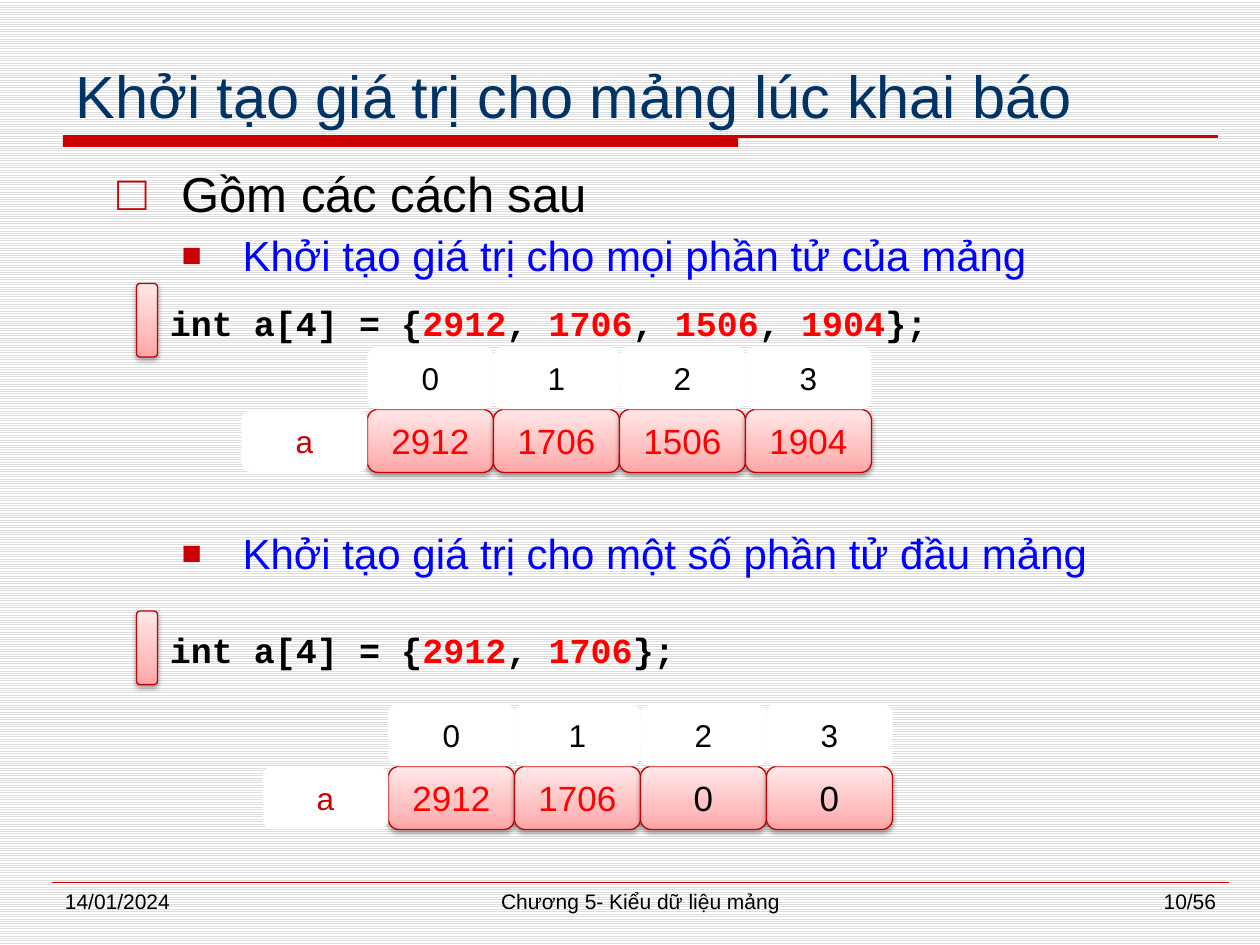
import copy
from dataclasses import dataclass

import lxml.etree
import pptx
import pptx.dml.color
import pptx.enum.dml
import pptx.enum.shapes
import pptx.enum.text
import pptx.oxml.ns
import pptx.util

EMU_PER_PX = 7620  # 120 px to the inch

ALIGN = pptx.enum.text.PP_ALIGN
ANCHOR = pptx.enum.text.MSO_ANCHOR
SHAPES = pptx.enum.shapes.MSO_SHAPE
qn = pptx.oxml.ns.qn


@dataclass(frozen=True)
class Theme:
    font: str = "Arial"
    code_font: str = "Courier New"
    title: str = "003366"
    accent: str = "CC0000"
    edge: str = "C80000"
    text: str = "000000"
    topic: str = "0000FF"
    value: str = "FF0000"
    paper: str = "FFFFFF"
    stripe: str = "DDDDDD"
    gradient: tuple = ((0, "FFA5A5"), (0.35, "FFBFBF"), (1, "FFE7E7"))
    title_pt: int = 34
    list_pt: int = 28
    topic_pt: int = 24
    value_pt: int = 20
    index_pt: int = 18
    footer_pt: int = 12


THEME = Theme()
CELL_W, CELL_H = 120, 60


def px(*lengths):
    return [pptx.util.Emu(n * EMU_PER_PX) for n in lengths]


def rgb(value):
    return pptx.dml.color.RGBColor.from_string(value)


def set_font(target, size, color, name=THEME.font, bold=False):
    font = target.font
    font.size = pptx.util.Pt(size)
    font.name = name
    font.bold = bold
    font.color.rgb = rgb(color)


def move(shape, *box):
    shape.left, shape.top, shape.width, shape.height = px(*box)


def add_bullet(p, char, size_pct, indent, hanging):
    pPr = p._p.get_or_add_pPr()
    pPr.set("marL", str(indent * EMU_PER_PX))
    pPr.set("indent", str(-hanging * EMU_PER_PX))
    color = lxml.etree.SubElement(pPr, qn("a:buClr"))
    lxml.etree.SubElement(color, qn("a:srgbClr"), val=THEME.accent)
    lxml.etree.SubElement(pPr, qn("a:buSzPct"), val=str(size_pct * 1000))
    lxml.etree.SubElement(pPr, qn("a:buFont"), typeface=THEME.font)
    lxml.etree.SubElement(pPr, qn("a:buChar"), char=char)


def add_title(s, text):
    title = s.shapes.title
    move(title, 60, 40, 1100, 90)
    tf = title.text_frame
    tf.text = text
    tf.vertical_anchor = ANCHOR.BOTTOM
    tf.auto_size = pptx.enum.text.MSO_AUTO_SIZE.NONE
    p = tf.paragraphs[0]
    p.alignment = ALIGN.LEFT
    set_font(p.runs[0], THEME.title_pt, THEME.title)


def add_list(s, heading, topics):
    """Fill the body with a heading and (text, space before in points) topics."""
    body = s.placeholders[1]
    move(body, 100, 150, 1040, 680)
    tf = body.text_frame
    tf.auto_size = pptx.enum.text.MSO_AUTO_SIZE.NONE
    for i, (text, gap) in enumerate([(heading, 0), *topics]):
        p = tf.add_paragraph() if i else tf.paragraphs[0]
        p.text = text
        p.alignment = ALIGN.JUSTIFY
        if i:
            p.level = 1
            add_bullet(p, "■", 80, 119, 58)
            set_font(p.runs[0], THEME.topic_pt, THEME.topic)
        else:
            add_bullet(p, "□", 100, 61, 61)
            set_font(p.runs[0], THEME.list_pt, THEME.text)
        p.space_before = pptx.util.Pt(gap)


def add_line(s, x1, x2, y, width):
    line = s.shapes.add_connector(
        pptx.enum.shapes.MSO_CONNECTOR.STRAIGHT, *px(x1, y, x2, y))
    line.line.color.rgb = rgb(THEME.accent)
    line.line.width = pptx.util.Pt(width)
    lxml.etree.SubElement(line._element.spPr, qn("a:effectLst"))


def add_block(s, kind, fill, *box):
    sp = s.shapes.add_shape(kind, *px(*box))
    sp.shadow.inherit = False
    sp.fill.solid()
    sp.fill.fore_color.rgb = rgb(fill)
    sp.line.fill.background()
    return sp


def add_glossy(s, *box):
    """Add a rounded box with the red gradient, outline and soft shadow."""
    sp = add_block(s, SHAPES.ROUNDED_RECTANGLE, THEME.paper, *box)
    spPr = sp._element.spPr
    sp.fill.gradient()
    sp.fill.gradient_angle = 90
    stops = spPr.find(".//" + qn("a:gsLst"))
    stops.insert(1, copy.deepcopy(stops[0]))
    for stop, (position, color) in zip(sp.fill.gradient_stops, THEME.gradient):
        stop.position = position
        stop.color.rgb = rgb(color)
    sp.line.color.rgb = rgb(THEME.edge)
    sp.line.width = pptx.util.Pt(0.75)
    shadow = lxml.etree.SubElement(
        spPr.find(qn("a:effectLst")), qn("a:outerShdw"),
        blurRad="40000", dist="20000", dir="5400000", rotWithShape="0")
    color = lxml.etree.SubElement(shadow, qn("a:srgbClr"), val=THEME.text)
    lxml.etree.SubElement(color, qn("a:alpha"), val="38000")
    return sp


def label(sp, text, size, color):
    tf = sp.text_frame
    tf.text = text
    tf.word_wrap = False
    tf.vertical_anchor = ANCHOR.MIDDLE
    p = tf.paragraphs[0]
    p.alignment = ALIGN.CENTER
    set_font(p.runs[0], size, color)


def add_plain_cell(s, x, y, text, color):
    sp = add_block(s, SHAPES.ROUNDED_RECTANGLE, THEME.paper, x, y, CELL_W, CELL_H)
    label(sp, text, THEME.index_pt, color)


def add_array(s, x, y, given, size=4):
    """Draw the array: indices above, values below, zeros where none is given."""
    values = given + ["0"] * (size - len(given))
    for i, value in enumerate(values):
        sp = add_glossy(s, x + i * CELL_W, y + CELL_H, CELL_W, CELL_H)
        color = THEME.value if i < len(given) else THEME.text
        label(sp, value, THEME.value_pt, color)
    for i in range(size):
        add_plain_cell(s, x + i * CELL_W, y, str(i), THEME.text)
    add_plain_cell(s, x - CELL_W, y + CELL_H, "a", THEME.accent)


def add_code(s, y, given):
    add_glossy(s, 130, y, 20, 70)
    tf = s.shapes.add_textbox(*px(150, y + 11, 960, 53)).text_frame
    tf.word_wrap = True
    pieces = [("int a[4] = {", THEME.text)]
    for i, value in enumerate(given):
        if i:
            pieces.append((", ", THEME.text))
        pieces.append((value, THEME.value))
    pieces.append(("};", THEME.text))
    for text, color in pieces:
        r = tf.paragraphs[0].add_run()
        r.text = text
        set_font(r, THEME.value_pt, color, THEME.code_font, bold=True)


def add_footer(s, x, width, text, alignment):
    tf = s.shapes.add_textbox(*px(x, 840, width, 42)).text_frame
    tf.word_wrap = True
    tf.text = text
    p = tf.paragraphs[0]
    p.alignment = alignment
    set_font(p.runs[0], THEME.footer_pt, THEME.text)


def main():
    prs = pptx.Presentation()
    prs.slide_width, prs.slide_height = px(1200, 900)
    s = prs.slides.add_slide(prs.slide_layouts[1])

    # Striped background
    fill = s.background.fill
    fill.patterned()
    fill.pattern = pptx.enum.dml.MSO_PATTERN.LIGHT_HORIZONTAL
    fill.fore_color.rgb = rgb(THEME.stripe)
    fill.back_color.rgb = rgb(THEME.paper)

    # Rules under the title and above the footer
    add_block(s, SHAPES.RECTANGLE, THEME.accent, 60, 130, 643, 10)
    add_line(s, 60, 1160, 130, 1.5)
    add_line(s, 50, 1170, 840, 0.25)

    # Title and list
    add_title(s, "Khởi tạo giá trị cho mảng lúc khai báo")
    add_list(s, "Gồm các cách sau", [
        ("Khởi tạo giá trị cho mọi phần tử của mảng", 4),
        ("Khởi tạo giá trị cho một số phần tử đầu mảng", 141.5),
    ])

    # Code examples with their arrays
    values = ["2912", "1706", "1506", "1904"]
    for code_y, x, y, given in ((270, 350, 330, values), (582, 370, 670, values[:2])):
        add_code(s, code_y, given)
        add_array(s, x, y, given)

    # Footer
    add_footer(s, 50, 260, "14/01/2024", ALIGN.LEFT)
    add_footer(s, 350, 520, "Chương 5- Kiểu dữ liệu mảng", ALIGN.CENTER)
    add_footer(s, 910, 260, "10/56", ALIGN.RIGHT)

    prs.save("out.pptx")


if __name__ == "__main__":
    main()
